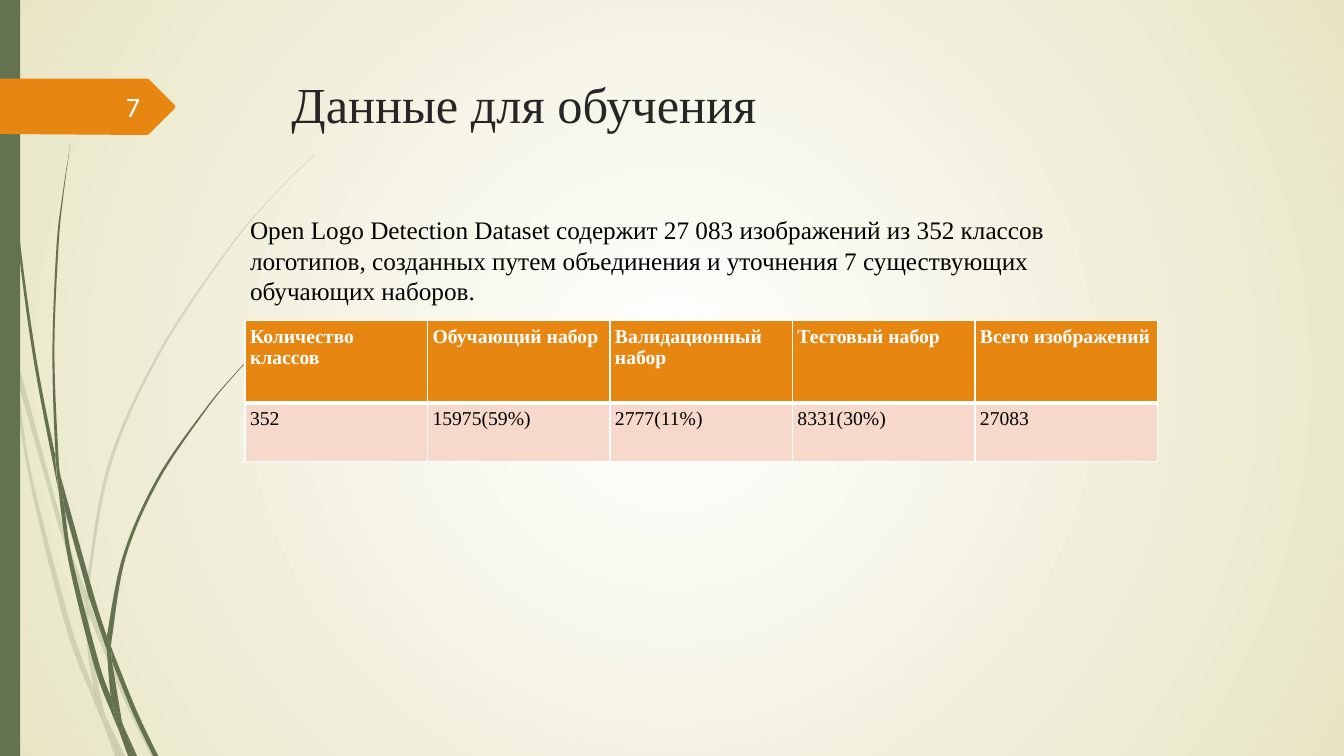
from lxml import etree
from pptx import Presentation
from pptx.dml.color import RGBColor
from pptx.enum.shapes import MSO_SHAPE
from pptx.enum.text import MSO_ANCHOR, PP_ALIGN
from pptx.oxml.ns import qn
from pptx.util import Inches, Pt

RECTANGLE = MSO_SHAPE.RECTANGLE
TOP, MIDDLE = MSO_ANCHOR.TOP, MSO_ANCHOR.MIDDLE
LEFT, RIGHT = PP_ALIGN.LEFT, PP_ALIGN.RIGHT

# Content
TITLE = "Данные для обучения"
PAGE_NUMBER = "7"
DESCRIPTION = (
    "Open Logo Detection Dataset содержит 27 083 изображений из 352 классов "
    "логотипов, созданных путем объединения и уточнения 7 существующих "
    "обучающих наборов."
)
TABLE_ROWS = [
    ("Количество классов", "Обучающий набор", "Валидационный набор",
     "Тестовый набор", "Всего изображений"),
    ("352", "15975(59%)", "2777(11%)", "8331(30%)", "27083"),
]

# Style
WIDTH, HEIGHT = 13.33, 7.5
SERIF, SANS = "Times New Roman", "Calibri"
GREEN, ORANGE, PINK = "647252", "E78712", "F6D9CA"
WHITE, BLACK, CREAM, CHARCOAL = "FFFFFF", "000000", "E8E5C4", "262626"
INSET = 0.05
TABLE_LEFT, TABLE_TOP, COLUMN_WIDTH = 2.43, 3.18, 1.81
ROW_HEIGHTS = (0.82, 0.58)
ROW_STYLES = ((ORANGE, WHITE, True), (PINK, BLACK, False))
ROW_BORDERS = (  # points
    {"lnL": 1, "lnR": 1, "lnT": 1, "lnB": 3},
    {"lnL": 1, "lnR": 1, "lnT": 3, "lnB": 1},
)

# Grass pieces: each is a list of smooth edges, given by knots in inches
PALE_GRASS = [
    [[(0.11, 3.5), (0.09, 3.22), (0, 2.82)], [(0, 2.99), (0.1, 3.44), (0.11, 3.5)]],
    [[(0.58, 5.22), (0.84, 5.99)], [(0.85, 5.86), (0.62, 5.2), (0.14, 3.45)],
     [(0.17, 3.76), (0.58, 5.22)]],
    [[(0.92, 6.07), (0.88, 5.96)], [(0.88, 6.1), (1.23, 6.94), (1.5, 7.5)],
     [(1.55, 7.5), (1.27, 6.92), (0.92, 6.07)]],
    [[(1.19, 7.5)], [(1.24, 7.5), (1.05, 7.11)], [(1.19, 7.5)]],
    [[(0.93, 6.83), (0.7, 6.19), (0.31, 4.69), (0.17, 3.76), (0.11, 3.5)],
     [(0.11, 3.5), (0.28, 4.7), (0.65, 6.21), (0.92, 6.93), (1.01, 7.14)],
     [(0.99, 7.07), (0.93, 6.83)]],
    [[(0.84, 5.99), (0.87, 6.46), (0.93, 6.83), (0.96, 6.92), (1.05, 7.11)],
     [(1.03, 7.06), (0.91, 6.46), (0.88, 6.1)], [(0.88, 6.08), (0.84, 5.99)]],
    [[(0.88, 5.84), (1.1, 4.62), (1.6, 3.49), (2.29, 2.45), (2.68, 1.98),
      (2.9, 1.75), (3.12, 1.54)],
     [(3.12, 1.53), (2.89, 1.75), (2.68, 1.97), (2.28, 2.44), (1.58, 3.48),
      (1.07, 4.61), (0.85, 5.84)], [(0.85, 5.86), (0.88, 5.96), (0.88, 5.84)]],
    [[(1.01, 7.14), (1.14, 7.5)], [(1.19, 7.5), (1.01, 7.14)]],
    [[(0.88, 6.08), (0.88, 6.1)], [(0.88, 5.96), (0.85, 5.86)],
     [(0.84, 5.99), (0.88, 6.08)]],
    [[(0.96, 6.92), (0.93, 6.83)], [(0.99, 7.07), (1.01, 7.14), (1.19, 7.5)],
     [(1.05, 7.11), (0.96, 6.92)]],
]
DARK_GRASS = [
    [[(0.07, 1.1), (0.17, 2.33), (0.33, 3.55), (0.56, 4.77), (0.57, 4.81)],
     [(0.55, 4.57), (0.55, 4.53)],
     [(0.55, 4.53), (0.36, 3.55), (0.19, 2.32), (0.08, 1.09), (0.05, 0.48), (0.04, 0)],
     [(0.03, 0), (0.04, 0.48), (0.07, 1.1)]],
    [[(0.88, 5.92), (1.06, 6.45)], [(1.06, 6.33), (1.06, 6.31)],
     [(1.06, 6.31), (0.93, 5.9), (0.6, 4.72)], [(0.64, 5.05), (0.88, 5.92)]],
    [[(1.13, 6.49), (1.1, 6.41)], [(1.11, 6.56), (1.32, 7.08), (1.52, 7.5)],
     [(1.57, 7.5), (1.36, 7.06), (1.13, 6.49)]],
    [[(1.1, 6.91), (0.98, 6.57), (0.72, 5.56), (0.64, 5.05), (0.57, 4.77)],
     [(0.57, 4.77), (0.68, 5.57), (0.93, 6.59), (1.11, 7.08), (1.17, 7.22)],
     [(1.16, 7.17), (1.1, 6.91)]],
    [[(0.6, 4.72), (0.58, 4.53), (0.54, 3.49), (0.58, 2.45), (0.63, 1.93), (0.7, 1.41)],
     [(0.7, 1.41), (0.62, 1.93), (0.56, 2.45), (0.52, 3.49), (0.55, 4.49), (0.6, 4.72)]],
    [[(1.33, 7.5)], [(1.36, 7.5), (1.22, 7.19)], [(1.33, 7.5)]],
    [[(0.57, 4.77), (0.64, 5.05)], [(0.6, 4.72), (0.55, 4.49)],
     [(0.55, 4.53), (0.57, 4.77)]],
    [[(1.11, 6.33), (1.25, 5.52), (1.58, 4.76), (2.05, 4.06), (2.31, 3.74),
      (2.45, 3.59), (2.61, 3.44)],
     [(2.6, 3.44), (2.45, 3.58), (2.31, 3.73), (2.04, 4.05), (1.56, 4.74),
      (1.22, 5.51), (1.06, 6.31)], [(1.1, 6.41), (1.11, 6.33)]],
    [[(1.17, 7.22), (1.27, 7.5)], [(1.31, 7.5), (1.17, 7.22)]],
    [[(1.06, 6.45), (1.1, 6.91), (1.16, 7.06), (1.22, 7.19)],
     [(1.21, 7.16), (1.11, 6.56), (1.09, 6.51), (1.06, 6.45)]],
    [[(1.06, 6.45), (1.09, 6.51), (1.11, 6.56)], [(1.1, 6.41), (1.06, 6.31)],
     [(1.06, 6.33), (1.06, 6.45)]],
    [[(1.16, 7.06), (1.1, 6.91)], [(1.16, 7.17), (1.17, 7.22), (1.3, 7.5)],
     [(1.33, 7.5), (1.22, 7.19), (1.16, 7.06)]],
]
TAG = [[corner] for corner in (
    (0, 0.78), (1.46, 0.78), (1.48, 0.79), (1.73, 1.04), (1.74, 1.06),
    (1.73, 1.08), (1.48, 1.33), (1.46, 1.34), (0, 1.33))]


def color(hex_string):
    return RGBColor.from_string(hex_string)


def paint(shape, fill, opacity=100):
    shape.shadow.inherit = False
    shape.fill.solid()
    shape.fill.fore_color.rgb = color(fill)
    shape.line.fill.background()
    if opacity < 100:
        tint = shape._element.spPr.find(qn("a:solidFill"))[0]
        etree.SubElement(tint, qn("a:alpha"), val=str(opacity * 1000))


def write(frame, text, size, font, text_color, bold=False, align=LEFT, anchor=TOP):
    frame.text = text
    frame.word_wrap = True
    frame.vertical_anchor = anchor
    set_margins(frame)
    paragraph = frame.paragraphs[0]
    paragraph.alignment = align
    run = paragraph.runs[0]
    run.font.size, run.font.name, run.font.bold = Pt(size), font, bold
    run.font.color.rgb = color(text_color)


def set_margins(holder):
    holder.margin_left = holder.margin_right = Inches(INSET)
    holder.margin_top = holder.margin_bottom = Inches(INSET)


def add_outline(slide, edges, fill, opacity=100):
    """Closed shape whose edges are Bezier curves through their knots."""
    edges = [[(Inches(x), Inches(y)) for x, y in edge] for edge in edges]
    start = current = edges[0][0]
    ends, controls = [], []
    for edge in edges:
        if edge[0] != current:
            ends.append(edge[0])
            controls.append(())
        padded = [edge[0], *edge, edge[-1]]
        for a, b, c, d in zip(padded, padded[1:], padded[2:], padded[3:]):
            ends.append(c)
            controls.append((
                [q + (r - p) / 6 for p, q, r in zip(a, b, c)],
                [r - (s - q) / 6 for q, r, s in zip(b, c, d)]))
        current = edge[-1]
    builder = slide.shapes.build_freeform(*start)
    builder.add_line_segments(ends, close=True)
    shape = builder.convert_to_shape()
    segments = list(shape._element.iter(qn("a:lnTo")))
    for segment, handles in zip(segments, controls):
        if handles:
            segment.tag = qn("a:cubicBezTo")
        for position, (x, y) in enumerate(handles):
            segment.insert(position, etree.Element(
                qn("a:pt"), x=str(round(x - shape.left)), y=str(round(y - shape.top))))
    paint(shape, fill, opacity)


def add_borders(cell, borders):
    properties = cell._tc.get_or_add_tcPr()
    for side, points in borders.items():
        line = etree.SubElement(properties, qn("a:" + side), w=str(Pt(points)))
        fill = etree.SubElement(line, qn("a:solidFill"))
        etree.SubElement(fill, qn("a:srgbClr"), val=WHITE)


def set_background(slide):
    fill = slide.background.fill
    fill.gradient()
    for stop, shade in zip(fill.gradient_stops, (WHITE, CREAM)):
        stop.color.rgb = color(shade)
    gradient = slide._element.find(".//" + qn("a:gradFill"))
    gradient.remove(gradient.find(qn("a:lin")))
    circle = etree.SubElement(gradient, qn("a:path"), {"path": "circle"})
    etree.SubElement(circle, qn("a:fillToRect"), {side: "50000" for side in "ltrb"})


def place(left, top, width, height):
    return [Inches(value) for value in (left, top, width, height)]


def main():
    presentation = Presentation()
    presentation.slide_width, presentation.slide_height = Inches(WIDTH), Inches(HEIGHT)
    slide = presentation.slides.add_slide(presentation.slide_layouts[5])
    shapes = slide.shapes
    set_background(slide)

    # Grass, side bar and page tag
    for grass, opacity in ((PALE_GRASS, 20), (DARK_GRASS, 100)):
        for edges in grass:
            add_outline(slide, edges, GREEN, opacity)
    paint(shapes.add_shape(RECTANGLE, *place(0, 0, 0.2, HEIGHT)), GREEN)
    add_outline(slide, TAG, ORANGE)

    # Title and page number
    title = shapes.title
    title.left, title.top, title.width, title.height = place(2.84, 0.68, 9.75, 1.4)
    write(title.text_frame, TITLE, 36, SERIF, CHARCOAL)
    number = shapes.add_textbox(*place(1.17, 0.84, 0.27, 0.43))
    write(number.text_frame, PAGE_NUMBER, 20, SANS, "FEFFFF", align=RIGHT, anchor=MIDDLE)
    number.text_frame.word_wrap = False

    # Table
    columns = len(TABLE_ROWS[0])
    table = shapes.add_table(len(TABLE_ROWS), columns, *place(
        TABLE_LEFT, TABLE_TOP, COLUMN_WIDTH * columns, sum(ROW_HEIGHTS))).table
    for column in table.columns:
        column.width = Inches(COLUMN_WIDTH)
    for i, (texts, (fill, ink, bold)) in enumerate(zip(TABLE_ROWS, ROW_STYLES)):
        table.rows[i].height = Inches(ROW_HEIGHTS[i])
        for cell, text in zip(table.rows[i].cells, texts):
            add_borders(cell, ROW_BORDERS[i])
            cell.fill.solid()
            cell.fill.fore_color.rgb = color(fill)
            write(cell.text_frame, text, 14, SERIF, ink, bold)
            set_margins(cell)

    # Description
    description = shapes.add_textbox(*place(TABLE_LEFT, 2.08, 9.04, 1.28))
    write(description.text_frame, DESCRIPTION, 18, SERIF, BLACK)
    presentation.save("out.pptx")


if __name__ == "__main__":
    main()
